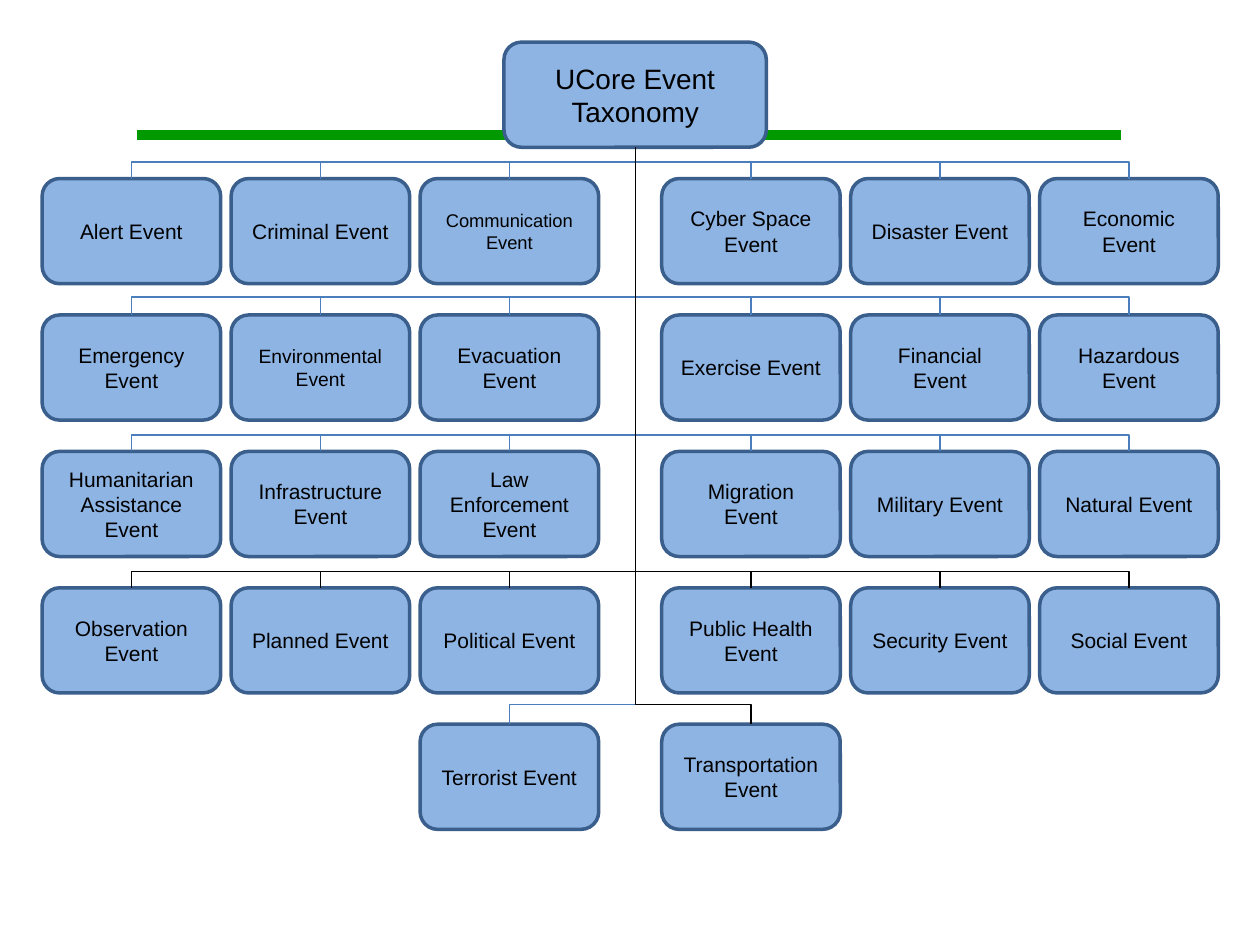
from lxml.etree import SubElement
from pptx import Presentation
from pptx.dml.color import RGBColor
from pptx.enum.shapes import MSO_CONNECTOR, MSO_SHAPE
from pptx.enum.text import MSO_ANCHOR, PP_ALIGN
from pptx.oxml.ns import qn
from pptx.util import Cm, Pt

COLORS = {"fill": "8EB4E3", "border": "3A5F8C", "blue": "4B7EBC",
          "black": "000000", "rule": "009900"}
FONT = "Arial"
ROOT = "UCore Event Taxonomy"
ROWS = [
    (["Alert Event", "Criminal Event", "Communication Event",
      "Cyber Space Event", "Disaster Event", "Economic Event"], "blue"),
    (["Emergency Event", "Environmental Event", "Evacuation Event",
      "Exercise Event", "Financial Event", "Hazardous Event"], "blue"),
    (["Humanitarian Assistance Event", "Infrastructure Event", "Law Enforcement Event",
      "Migration Event", "Military Event", "Natural Event"], "blue"),
    (["Observation Event", "Planned Event", "Political Event",
      "Public Health Event", "Security Event", "Social Event"], "black"),
    ([None, None, "Terrorist Event", "Transportation Event"], "black"),
]
SMALL_SIZES = {"Communication Event": 10.5, "Environmental Event": 11}
LINE_COLORS = {"Terrorist Event": "blue"}
BUS_GAPS = [0.33, 0.36, 0.33, 0.33, 0.4]
BOX_WIDTH, BOX_HEIGHT = 3.6, 2.12
COLUMN_STEP, ROW_STEP = 3.81, 2.75
LEFT_START, RIGHT_START, TOP_START = 0.85, 13.34, 3.6


def color(name):
    return RGBColor.from_string(COLORS[name])


def add_box(slide, text, *, left, top, width=BOX_WIDTH, size=12):
    shape = slide.shapes.add_shape(MSO_SHAPE.ROUNDED_RECTANGLE, Cm(left), Cm(top),
                                   Cm(width), Cm(BOX_HEIGHT))
    shape.shadow.inherit = False
    shape.fill.solid()
    shape.fill.fore_color.rgb = color("fill")
    shape.line.color.rgb = color("border")
    shape.line.width = Pt(2)
    frame = shape.text_frame
    frame.word_wrap = True
    frame.vertical_anchor = MSO_ANCHOR.MIDDLE
    paragraph = frame.paragraphs[0]
    paragraph.alignment = PP_ALIGN.CENTER
    run = paragraph.add_run()
    run.text = text
    run.font.name = FONT
    run.font.size = Pt(size)
    run.font.color.rgb = color("black")
    return shape


def add_line(slide, kind, ends, line_color, width):
    connector = slide.shapes.add_connector(kind, *(Cm(value) for value in ends))
    connector.line.color.rgb = color(line_color)
    connector.line.width = Pt(width)
    SubElement(connector._element.spPr, qn("a:effectLst"))
    return connector


def add_branch(slide, root, box, line_color, bus_gap):
    """Join the root's bottom to a box's top, turning at the row's bus line."""
    connector = add_line(slide, MSO_CONNECTOR.ELBOW, (0, 0, 0, 0), line_color, 0.75)
    connector.begin_connect(root, 2)
    connector.end_connect(box, 0)
    start_x, start_y = root.left + root.width // 2, root.top + root.height
    end_x, end_y = box.left + box.width // 2, box.top
    drop, run = end_y - start_y, abs(end_x - start_x)
    connector.width, connector.height = drop, run
    connector.left = (start_x + end_x - drop) // 2
    connector.top = (start_y + end_y - run) // 2
    to_right = end_x > start_x
    properties = connector._element.spPr
    transform = properties.find(qn("a:xfrm"))
    transform.set("rot", "16200000" if to_right else "5400000")
    transform.set("flipH", "1" if to_right else "0")
    transform.set("flipV", "0")
    geometry = properties.find(qn("a:prstGeom"))
    adjustments = geometry.find(qn("a:avLst"))
    if adjustments is None:
        adjustments = SubElement(geometry, qn("a:avLst"))
    turn = round(100000 * (1 - Cm(bus_gap) / drop))
    SubElement(adjustments, qn("a:gd"), name="adj1", fmla=f"val {turn}")


def main():
    presentation = Presentation()
    presentation.slide_width, presentation.slide_height = Cm(25.4), Cm(19.05)
    slide = presentation.slides.add_slide(presentation.slide_layouts[6])
    add_line(slide, MSO_CONNECTOR.STRAIGHT, (2.77, 2.72, 22.6, 2.72), "rule", 6)
    root = add_box(slide, ROOT, left=10.16, top=0.85, width=5.29, size=16)
    lefts = [start + column * COLUMN_STEP
             for start in (LEFT_START, RIGHT_START) for column in range(3)]
    branches = []
    for row, ((events, line_color), bus_gap) in enumerate(zip(ROWS, BUS_GAPS)):
        for event, left in zip(events, lefts):
            if event:
                box = add_box(slide, event, left=left, top=TOP_START + row * ROW_STEP,
                              size=SMALL_SIZES.get(event, 12))
                branches.append((box, LINE_COLORS.get(event, line_color), bus_gap))
    for box, line_color, bus_gap in branches:
        add_branch(slide, root, box, line_color, bus_gap)
    presentation.save("out.pptx")


if __name__ == "__main__":
    main()
